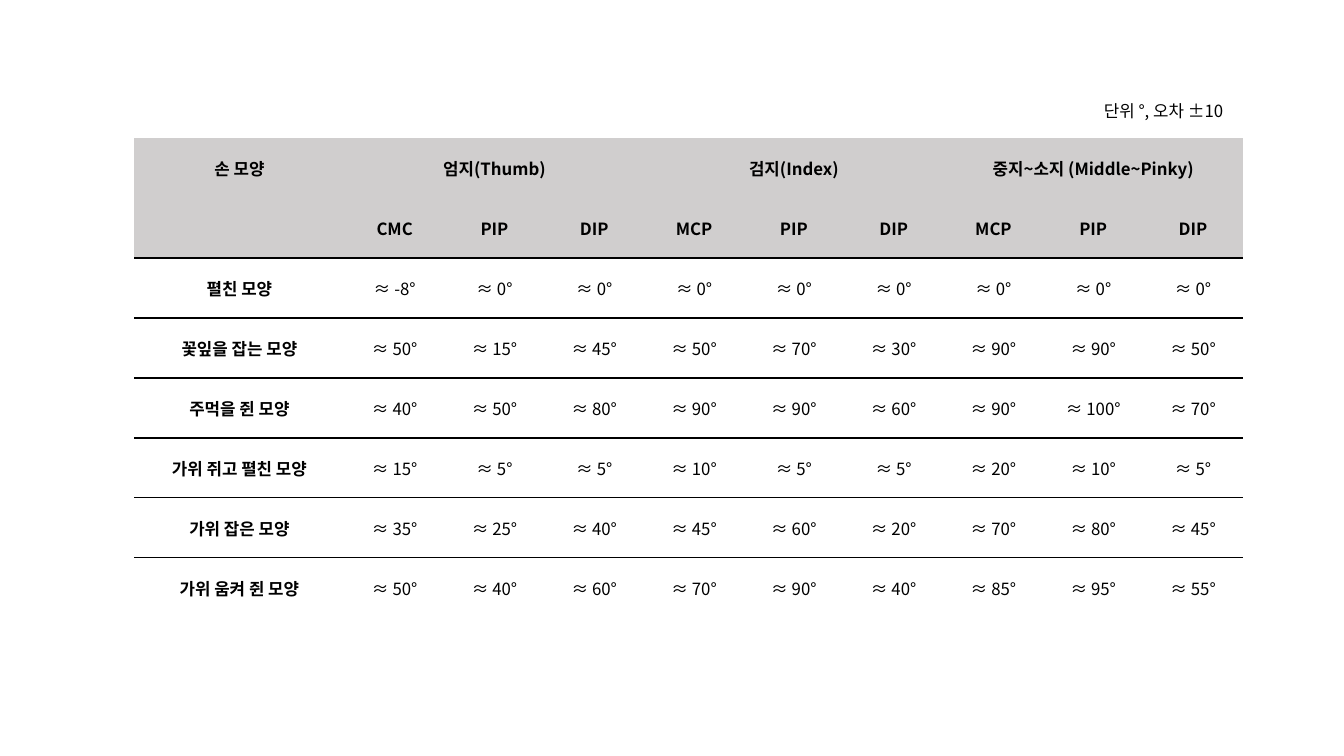
from dataclasses import dataclass

from lxml import etree
from pptx import Presentation
from pptx.dml.color import RGBColor
from pptx.enum.text import MSO_ANCHOR, PP_ALIGN
from pptx.oxml.ns import qn
from pptx.util import Inches, Pt

MIDDLE = MSO_ANCHOR.MIDDLE
CENTER = PP_ALIGN.CENTER
PLAIN = "{2D5ABB26-0587-4C30-8999-92F81FD0307C}"  # table style without grid


@dataclass
class Theme:
    font: str = "Noto Sans CJK KR"
    size: int = 12
    ink: str = "000000"
    head: str = "D0CECE"
    rule: int = 1


# Table content
GROUPS = ["엄지(Thumb)", "검지(Index)", "중지~소지 (Middle~Pinky)"]
JOINTS = ["CMC", "PIP", "DIP"] + ["MCP", "PIP", "DIP"] * 2
POSES = {
    "펼친 모양": [-8, 0, 0, 0, 0, 0, 0, 0, 0],
    "꽃잎을 잡는 모양": [50, 15, 45, 50, 70, 30, 90, 90, 50],
    "주먹을 쥔 모양": [40, 50, 80, 90, 90, 60, 90, 100, 70],
    "가위 쥐고 펼친 모양": [15, 5, 5, 10, 5, 5, 20, 10, 5],
    "가위 잡은 모양": [35, 25, 40, 45, 60, 20, 70, 80, 45],
    "가위 움켜 쥔 모양": [50, 40, 60, 70, 90, 40, 85, 95, 55],
}
SPAN = 3
HEADS = 2
RULED = {1, 2, 4, 5}  # rows with a line below


class Deck:
    def __init__(self, theme):
        self.theme = theme
        self.show = Presentation()
        self.show.slide_width = Inches(13.33)
        self.show.slide_height = Inches(7.5)
        self.slide = self.show.slides.add_slide(self.show.slide_layouts[6])

    def label(self, frame, text, bold=False, align=None):
        para = frame.paragraphs[0]
        para.alignment = align
        run = para.add_run()
        run.text = text
        style = {"name": self.theme.font, "size": Pt(self.theme.size), "bold": bold}
        for key, value in style.items():
            setattr(run.font, key, value)
        run.font.color.rgb = RGBColor.from_string(self.theme.ink)
        east = etree.SubElement(run.font._element, qn("a:ea"))
        east.set("typeface", self.theme.font)

    def note(self, text, left, top, width, height):
        box = self.slide.shapes.add_textbox(
            Inches(left), Inches(top), Inches(width), Inches(height))
        box.text_frame.word_wrap = True
        self.label(box.text_frame, text)

    def edge(self, cell, side):
        line = etree.SubElement(cell._tc.get_or_add_tcPr(), qn("a:" + side))
        line.set("w", str(Pt(self.theme.rule)))
        fill = etree.SubElement(line, qn("a:solidFill"))
        etree.SubElement(fill, qn("a:srgbClr")).set("val", self.theme.ink)

    def cell(self, cell, text, row, col):
        pad = Inches(0.04 if row == 0 else 0.02)
        side = Inches(0.04)
        style = {"margin_left": side, "margin_right": side, "margin_top": pad,
                 "margin_bottom": pad, "vertical_anchor": MIDDLE}
        for key, value in style.items():
            setattr(cell, key, value)
        # Borders come before the fill in the cell properties
        if row - 1 in RULED:
            self.edge(cell, "lnT")
        if row in RULED:
            self.edge(cell, "lnB")
        if row < HEADS:
            cell.fill.solid()
            cell.fill.fore_color.rgb = RGBColor.from_string(self.theme.head)
        else:
            cell.fill.background()
        if text:
            self.label(cell.text_frame, text, row < HEADS or col == 0, CENTER)

    def table(self, rows, left, top, widths, height):
        frame = self.slide.shapes.add_table(
            len(rows), len(widths), Inches(left), Inches(top),
            Inches(sum(widths)), Inches(height))
        grid = frame.table
        grid.first_row = grid.horz_banding = False
        grid._tbl.tblPr.find(qn("a:tableStyleId")).text = PLAIN
        for column, width in zip(grid.columns, widths):
            column.width = Inches(width)
        for row, texts in enumerate(rows):
            for col, text in enumerate(texts):
                self.cell(grid.cell(row, col), text, row, col)
        return grid


def main():
    deck = Deck(Theme())

    # Unit note
    deck.note("단위 °, 오차 ±10", 10.85, 0.95, 1.46, 0.3)

    # Joint angles by hand pose
    top = ["손 모양"]
    for group in GROUPS:
        top += [group] + [""] * (SPAN - 1)
    rows = [top, [""] + JOINTS]
    rows += [[pose] + [f"≈ {angle}°" for angle in angles]
             for pose, angles in POSES.items()]
    grid = deck.table(rows, 1.33, 1.37, [2.09] + [0.99] * len(JOINTS), 4.76)
    for col in range(1, len(JOINTS) + 1, SPAN):
        grid.cell(0, col).merge(grid.cell(0, col + SPAN - 1))

    deck.show.save("out.pptx")


if __name__ == "__main__":
    main()
